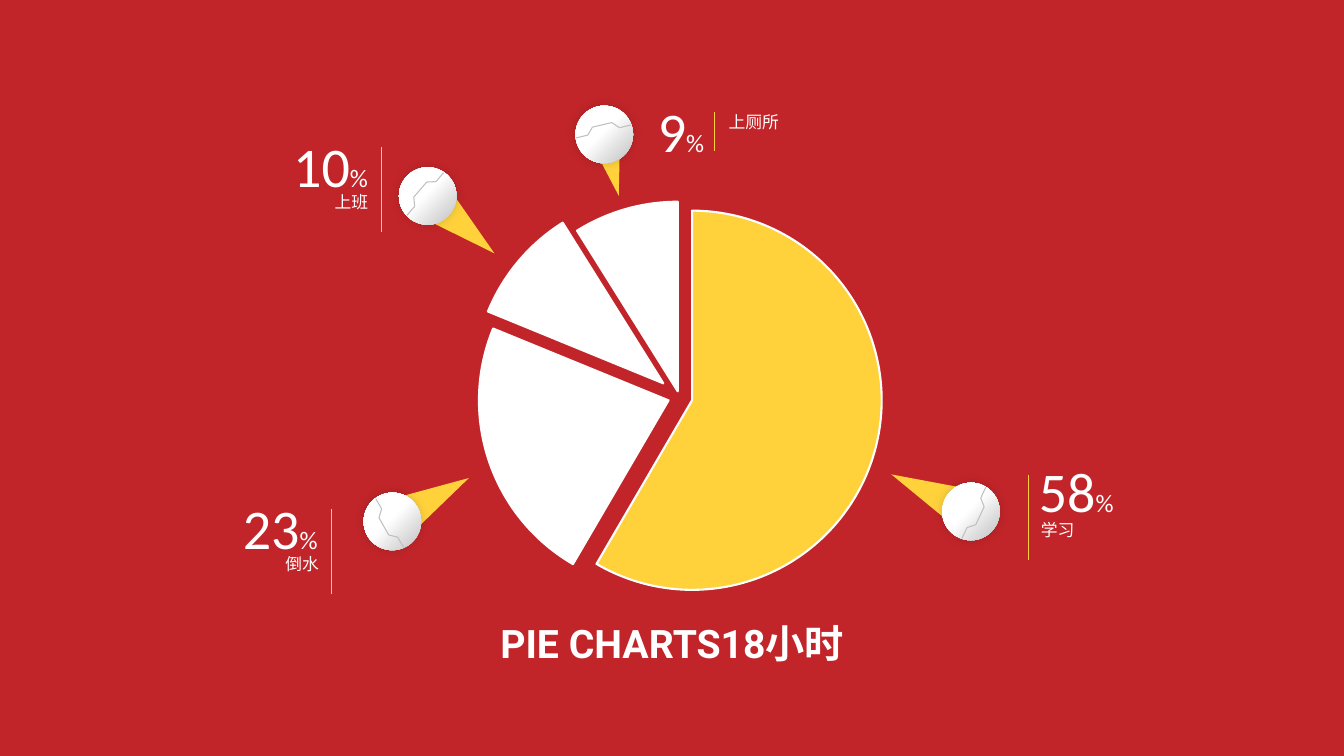
"""Build a red slide with an exploded pie chart, ball markers and labels."""
import math
import pptx
import pptx.chart.data
import pptx.dml.color
import pptx.enum.chart
import pptx.enum.shapes
import pptx.enum.text
import pptx.oxml
import pptx.oxml.ns
import pptx.util

Cm, Pt = pptx.util.Cm, pptx.util.Pt
shapes = pptx.enum.shapes.MSO_SHAPE
align = pptx.enum.text.PP_ALIGN
colors = {"red": "C12529", "gold": "FFD23C", "white": "FFFFFF", "gray": "BFBFBF", "ink": "2E2E2E"}
rgb = {name: pptx.dml.color.RGBColor.from_string(code) for name, code in colors.items()}
space = pptx.oxml.ns.nsdecls("a")

deck = pptx.Presentation()
deck.slide_width, deck.slide_height = Cm(33.87), Cm(19.05)
slide = deck.slides.add_slide(deck.slide_layouts[6])
slide.background.fill.solid()
slide.background.fill.fore_color.rgb = rgb["red"]


def draw(tree, start, end, color, width):
    """Draw a straight line without a shadow."""
    line = tree.add_connector(pptx.enum.shapes.MSO_CONNECTOR.STRAIGHT, *map(Cm, start + end))
    line.line.color.rgb = rgb[color]
    line.line.width = Pt(width)
    line._element.spPr.append(pptx.oxml.parse_xml(f"<a:effectLst {space}/>"))


def write(box, runs, side=align.LEFT, wrap=False, face="Calibri", bold=False):
    """Add a white text box from (text, size) runs."""
    frame = slide.shapes.add_textbox(*map(Cm, box)).text_frame
    frame.word_wrap = wrap
    frame.auto_size = pptx.enum.text.MSO_AUTO_SIZE.SHAPE_TO_FIT_TEXT
    para = frame.paragraphs[0]
    para.alignment = side
    para.font.name, para.font.bold = face, bold
    para.font.color.rgb = rgb["white"]
    for text, size in runs:
        run = para.add_run()
        run.text = text
        run.font.size = Pt(size)


data = pptx.chart.data.CategoryChartData()
data.categories = ["1", "2", "3", "4"]
data.add_series("Series 1", (59, 23, 10, 9))
chart = slide.shapes.add_chart(
    pptx.enum.chart.XL_CHART_TYPE.PIE, Cm(9.78), Cm(3.1), Cm(14.55), Cm(13.87), data).chart
chart.has_legend = chart.has_title = False
chart.font.name, chart.font.size = "Calibri", Pt(10)
chart.font.color.rgb = rgb["ink"]
pie = chart.plots[0]
pie.vary_by_categories = False
bursts = (7, 6, 11, 3)
for spot, burst in enumerate(bursts):
    point = pie.series[0].points[spot]
    point.format.fill.solid()
    point.format.fill.fore_color.rgb = rgb["white" if spot else "gold"]
    point.format.line.color.rgb = rgb["white"]
    point.format.line.width = Pt(1.5)
for slot, burst in zip(pie.series[0]._element.findall(pptx.oxml.ns.qn("c:dPt")), bursts):
    push = pptx.oxml.parse_xml(f'<c:explosion {pptx.oxml.ns.nsdecls("c")} val="{burst}"/>')
    slot.find(pptx.oxml.ns.qn("c:spPr")).addprevious(push)
area = chart._chartSpace.chart.plotArea
for old in area.findall(pptx.oxml.ns.qn("c:layout")):
    area.remove(old)
area.insert(0, pptx.oxml.parse_xml(
    f'<c:layout {pptx.oxml.ns.nsdecls("c")}><c:manualLayout><c:layoutTarget val="inner"/>'
    '<c:xMode val="edge"/><c:yMode val="edge"/><c:x val="0.176"/><c:y val="0.153"/>'
    '<c:w val="0.657"/><c:h val="0.689"/></c:manualLayout></c:layout>'))

ball, wide, tall = 1.45, 0.94, 1.83
crack = [(-0.71, -0.08), (-0.41, -0.08), (-0.25, -0.25), (0.25, -0.25), (0.41, -0.08), (0.71, -0.08)]
markers = [(15.23, 3.39, 166.8, 0.67), (10.78, 4.94, 130.7, 1.3),
           (24.47, 12.89, 295, 1.3), (9.89, 13.14, 60.4, 1.3)]
for x, y, turn, reach in markers:
    group = slide.shapes.add_group_shape().shapes
    angle = math.radians(turn)
    left = x + reach * math.sin(angle) - wide / 2
    top = y - reach * math.cos(angle) - tall / 2
    beam = group.add_shape(shapes.ISOSCELES_TRIANGLE, Cm(left), Cm(top), Cm(wide), Cm(tall))
    beam.rotation = turn
    beam.shadow.inherit = False
    beam.fill.solid()
    beam.fill.fore_color.rgb = rgb["gold"]
    beam.line.fill.background()
    orb = group.add_shape(shapes.OVAL, Cm(x - ball / 2), Cm(y - ball / 2), Cm(ball), Cm(ball))
    orb.fill.gradient()
    orb.fill.gradient_angle = 135
    for stop, color, place in zip(orb.fill.gradient_stops, ("gray", "white"), (0, 0.54)):
        stop.color.rgb, stop.position = rgb[color], place
    orb.line.fill.background()
    orb._element.spPr.append(pptx.oxml.parse_xml(
        f'<a:effectLst {space}><a:outerShdw blurRad="{Pt(7)}" dist="0" dir="0" algn="ctr" '
        'rotWithShape="0"><a:srgbClr val="000000"><a:alpha val="15000"/></a:srgbClr>'
        '</a:outerShdw></a:effectLst>'))
    tilt = angle + math.pi
    cos, sin = math.cos(tilt), math.sin(tilt)
    bends = [(x + a * cos - b * sin, y + a * sin + b * cos) for a, b in crack]
    for start, end in zip(bends, bends[1:]):
        draw(group, start, end, "gray", 0.75)

write((11.81, 15.49, 10.26, 1.45), [("PIE CHARTS18小时", 28)], align.CENTER, face="Roboto", bold=True)
labels = [
    ("58", (25.93, 11.38, 2.41), "学习", (25.98, 12.98, 6.05), align.LEFT, (25.91, 11.96, 14.12)),
    ("9", (16.33, 2.31, 1.7), "上厕所", (18.11, 2.69, 6.05), align.LEFT, (18.01, 2.82, 3.81)),
    ("23", (5.87, 12.32, 2.41), "倒水", (2.57, 13.84, 5.72), align.RIGHT, (8.36, 12.83, 14.96)),
    ("10", (7.14, 3.2, 2.41), "上班", (3.81, 4.7, 5.72), align.RIGHT, (9.6, 3.71, 5.84)),
]
for share, spot, name, place, side, (x, top, base) in labels:
    write(spot + (1.96,), [(share, 40), ("%", 18)])
    write(place + (0.76,), [(name, 12)], side, wrap=True)
    draw(slide.shapes, (x, top), (x, base), "gold", 0.5)

deck.save("out.pptx")
